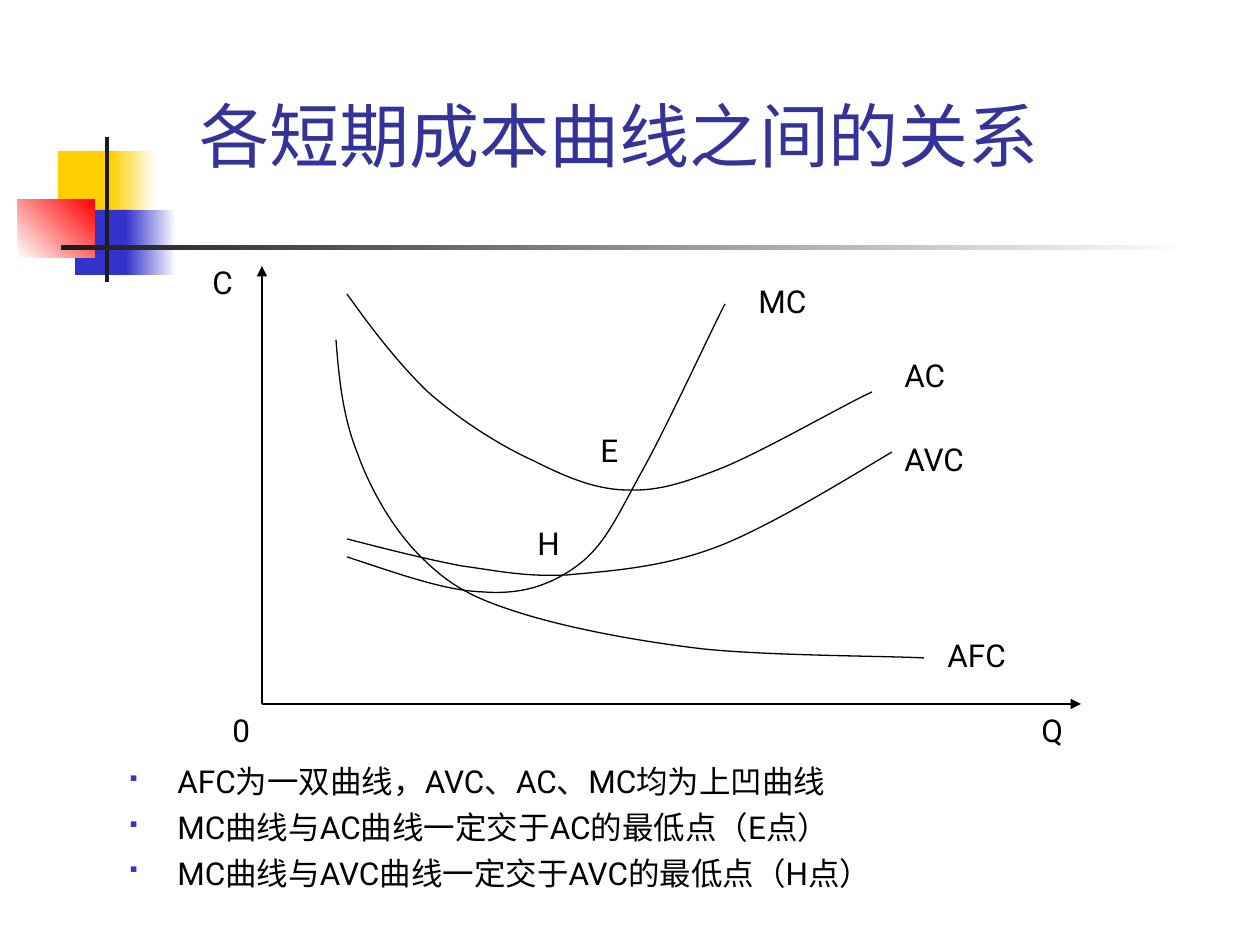
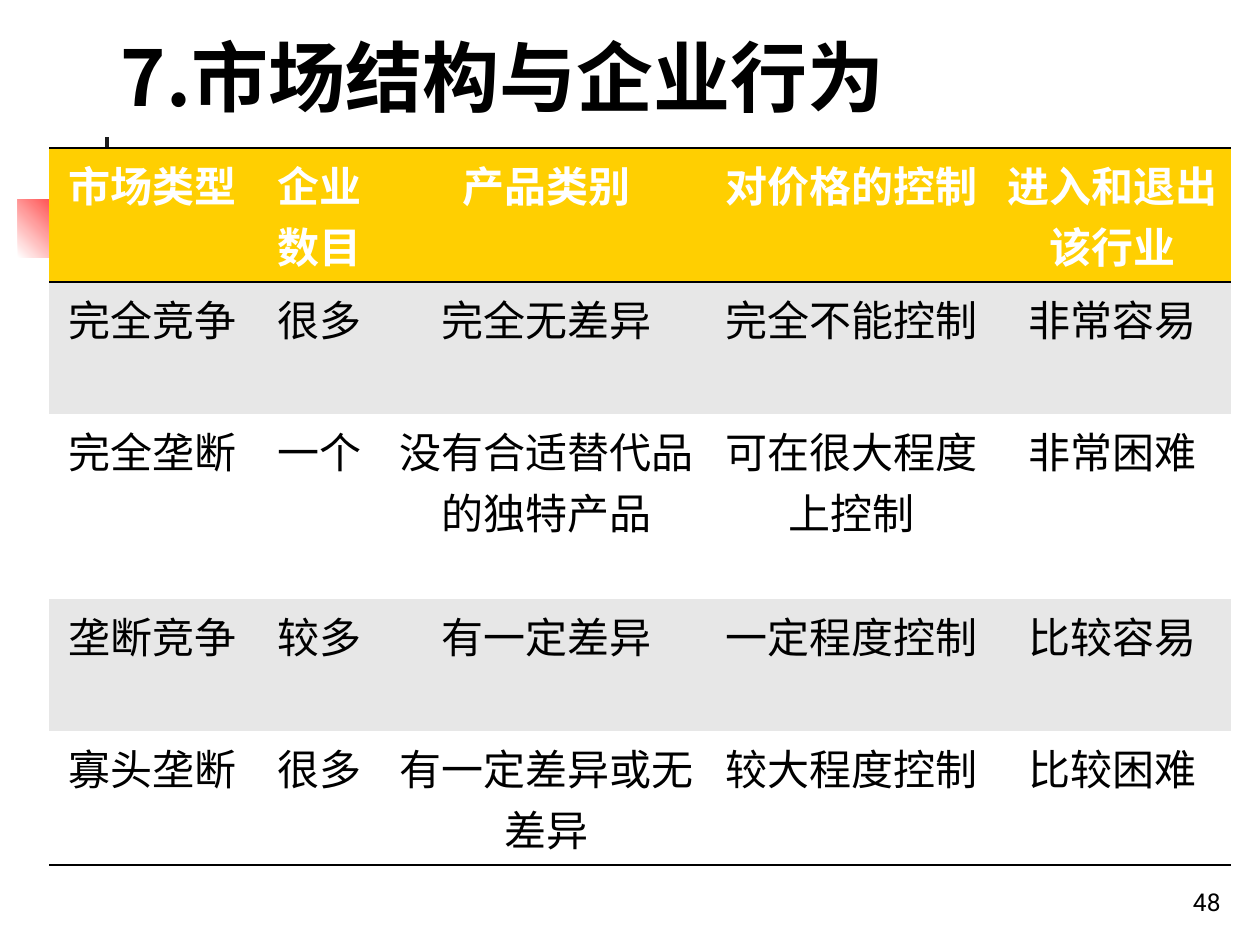
from lxml.etree import SubElement
from pptx import Presentation
from pptx.dml.color import RGBColor
from pptx.enum.shapes import MSO_CONNECTOR, MSO_SHAPE
from pptx.enum.text import MSO_ANCHOR as ANCHOR, PP_ALIGN as ALIGN
from pptx.oxml.ns import qn
from pptx.util import Pt

PX = 914400 / 126
SLIDE_SIZE = (1260, 945)
LATIN, CJK = "Roboto", "Noto Sans CJK SC"
NO_GRID_STYLE = "{2D5ABB26-0587-4C30-8999-92F81FD0307C}"

BLACK = RGBColor(0x00, 0x00, 0x00)
WHITE = RGBColor(0xFF, 0xFF, 0xFF)
YELLOW = RGBColor(0xFF, 0xCF, 0x01)
BLUE = RGBColor(0x33, 0x33, 0xCC)
RED = RGBColor(0xFF, 0x00, 0x00)
INK = RGBColor(0x1C, 0x1C, 0x1C)
TITLE_BLUE = RGBColor(0x33, 0x33, 0x99)
BAND_GREY = RGBColor(0xE7, 0xE7, 0xE7)

DECORATION = [
    ((58, 151, 60, 66), [YELLOW], 0),
    ((111, 151, 45, 66), [YELLOW, WHITE], 0),
    ((75, 210, 58, 65), [BLUE], 0),
    ((126, 210, 50, 65), [BLUE, WHITE], 0),
    ((18, 199, 77, 59), [WHITE, RED], 45),
    ((105, 137, 4, 145), [INK], 0),
    ((61, 245, 1134, 5), [INK, WHITE], 0),
]

COST_TITLE = "各短期成本曲线之间的关系"
COST_POINTS = [
    "AFC为一双曲线，AVC、AC、MC均为上凹曲线",
    "MC曲线与AC曲线一定交于AC的最低点（E点）",
    "MC曲线与AVC曲线一定交于AVC的最低点（H点）",
]
ORIGIN = (262, 704)
AXIS_ENDS = [(262, 266), (1081, 704)]
COST_CURVES = {
    "AFC": [(336, 340), (339, 379), (343, 417), (357, 452), (370, 489), (393, 529),
            (420, 556), (446, 582), (467, 596), (514, 611), (562, 627), (635, 641),
            (703, 649), (771, 656), (887, 656), (924, 658)],
    "MC": [(347, 557), (396, 573), (445, 591), (483, 592), (522, 595), (551, 585),
           (577, 566), (604, 546), (616, 519), (640, 475), (665, 431), (711, 331),
           (725, 304)],
    "AVC": [(347, 539), (386, 549), (425, 559), (462, 566), (499, 571), (525, 577),
            (567, 575), (609, 571), (660, 568), (714, 548), (769, 528), (863, 469),
            (892, 452)],
    "AC": [(347, 294), (372, 329), (398, 363), (428, 392), (460, 420), (499, 445),
           (532, 460), (564, 476), (593, 489), (625, 490), (655, 491), (675, 486),
           (717, 470), (759, 454), (845, 404), (872, 392)],
}
DIAGRAM_LABELS = [
    ("MC", 746, 276), ("AC", 892, 350), ("AVC", 892, 434), ("AFC", 935, 630),
    ("E", 588, 425), ("H", 525, 518), ("Q", 1029, 705), ("0", 220, 705), ("C", 200, 257),
]

MARKET_TITLE = "7.市场结构与企业行为"
MARKET_ROWS = [
    ("市场类型", "企业数目", "产品类别", "对价格的控制", "进入和退出该行业"),
    ("完全竞争", "很多", "完全无差异", "完全不能控制", "非常容易"),
    ("完全垄断", "一个", "没有合适替代品的独特产品", "可在很大程度上控制", "非常困难"),
    ("垄断竞争", "较多", "有一定差异", "一定程度控制", "比较容易"),
    ("寡头垄断", "很多", "有一定差异或无差异", "较大程度控制", "比较困难"),
]
COLUMN_WIDTHS = [207, 128, 325, 286, 236]
ROW_HEIGHTS = [134, 132, 185, 132, 134]
PAGE_NUMBER = "48"


def px(*lengths):
    return [round(length * PX) for length in lengths]


def format_paragraph(paragraph, size, color=BLACK, latin=LATIN, bold=False, align=ALIGN.LEFT):
    paragraph.alignment = align
    font = paragraph.font
    font.size, font.bold, font.name = Pt(size), bold, latin
    font.color.rgb = color
    SubElement(font._element, qn("a:ea"), typeface=CJK)


def add_text(shapes, box, lines, size, align=ALIGN.LEFT, anchor=ANCHOR.TOP, bulleted=False):
    frame = shapes.add_textbox(*px(*box)).text_frame
    frame.word_wrap = True
    frame.vertical_anchor = anchor
    frame.text = "\n".join(lines)
    for index, paragraph in enumerate(frame.paragraphs):
        if index:
            paragraph.space_before = Pt(4.5)
        if bulleted:
            add_bullet(paragraph)
        format_paragraph(paragraph, size, align=align)


def add_bullet(paragraph):
    properties = paragraph._p.get_or_add_pPr()
    indent = px(48)[0]
    properties.set("marL", str(indent))
    properties.set("indent", str(-indent))
    color = SubElement(properties, qn("a:buClr"))
    SubElement(color, qn("a:srgbClr"), val=str(BLUE))
    SubElement(properties, qn("a:buSzPct"), val="60000")
    SubElement(properties, qn("a:buFont"), typeface="Wingdings", charset="2")
    SubElement(properties, qn("a:buChar"), char="§")


def move_decoration_to_master(presentation, slide):
    master_tree = presentation.slide_master.shapes._spTree
    for index, (box, colors, angle) in enumerate(DECORATION):
        shape = slide.shapes.add_shape(MSO_SHAPE.RECTANGLE, *px(*box))
        shape.shadow.inherit = False
        shape.line.fill.background()
        if len(colors) == 1:
            shape.fill.solid()
            shape.fill.fore_color.rgb = colors[0]
        else:
            shape.fill.gradient()
            shape.fill.gradient_angle = angle
            for stop, color in zip(shape.fill.gradient_stops, colors):
                stop.color.rgb = color
        shape._element.nvSpPr.cNvPr.set("id", str(100 + index))
        master_tree.insert(2 + index, shape._element)


def add_slide(presentation, title_text, box, size, color, **style):
    slide = presentation.slides.add_slide(presentation.slide_layouts[5])
    title = slide.shapes.title
    title.left, title.top, title.width, title.height = px(*box)
    title.text_frame.text = title_text
    title.text_frame.vertical_anchor = ANCHOR.BOTTOM
    format_paragraph(title.text_frame.paragraphs[0], size, color, **style)
    return slide


def add_axis(shapes, end):
    axis = shapes.add_connector(MSO_CONNECTOR.STRAIGHT, *px(*ORIGIN, *end))
    axis.line.color.rgb = BLACK
    axis.line.width = Pt(0.75)
    SubElement(axis.line._get_or_add_ln(), qn("a:tailEnd"), type="triangle")
    SubElement(axis._element.spPr, qn("a:effectLst"))


def add_curve(shapes, controls):
    start, *rest = [px(*point) for point in controls]
    builder = shapes.build_freeform(*start)
    builder.add_line_segments(rest, close=False)
    curve = builder.convert_to_shape()
    curve.shadow.inherit = False
    curve.fill.background()
    curve.line.color.rgb = BLACK
    curve.line.width = Pt(0.75)
    outline = next(curve._element.iter(qn("a:path")))
    segments = outline.findall(qn("a:lnTo"))
    for first in range(0, len(segments), 3):
        bezier = SubElement(outline, qn("a:cubicBezTo"))
        for segment in segments[first:first + 3]:
            bezier.append(segment[0])
            outline.remove(segment)


def add_cost_slide(presentation):
    slide = add_slide(presentation, COST_TITLE, (187, 88, 1012, 95), 40, TITLE_BLUE)
    add_text(slide.shapes, (117, 756, 1113, 150), COST_POINTS, 18, bulleted=True)
    diagram = slide.shapes.add_group_shape().shapes
    for end in AXIS_ENDS:
        add_axis(diagram, end)
    for controls in COST_CURVES.values():
        add_curve(diagram, controls)
    for label, left, top in DIAGRAM_LABELS:
        width = 63 if len(label) == 1 else 116
        add_text(diagram, (left, top, width, 50), [label], 18)
    return slide


def add_border(cell, side, visible):
    line = SubElement(cell._tc.get_or_add_tcPr(), qn(f"a:{side}"), w=str(Pt(0.96)))
    if visible:
        fill = SubElement(line, qn("a:solidFill"))
        SubElement(fill, qn("a:srgbClr"), val=str(BLACK))
    else:
        SubElement(line, qn("a:noFill"))


def add_market_table(slide):
    frame = slide.shapes.add_table(len(MARKET_ROWS), len(COLUMN_WIDTHS),
                                   *px(49, 148, sum(COLUMN_WIDTHS), sum(ROW_HEIGHTS)))
    table = frame.table
    table.horz_banding = False
    table._tbl.tblPr.find(qn("a:tableStyleId")).text = NO_GRID_STYLE
    for column, width in zip(table.columns, px(*COLUMN_WIDTHS)):
        column.width = width
    for row, height in zip(table.rows, px(*ROW_HEIGHTS)):
        row.height = height
    last = len(MARKET_ROWS) - 1
    for row_index, texts in enumerate(MARKET_ROWS):
        header = row_index == 0
        fill = YELLOW if header else BAND_GREY if row_index % 2 else WHITE
        for column_index, text in enumerate(texts):
            cell = table.cell(row_index, column_index)
            add_border(cell, "lnT", row_index in (0, 1))
            add_border(cell, "lnB", row_index in (0, last))
            cell.fill.solid()
            cell.fill.fore_color.rgb = fill
            cell.text = text
            format_paragraph(cell.text_frame.paragraphs[0], 24, WHITE if header else BLACK,
                             latin=CJK, bold=header, align=ALIGN.CENTER)


def add_market_slide(presentation):
    slide = add_slide(presentation, MARKET_TITLE, (108, 21, 1074, 107), 44, BLACK,
                      latin=CJK, bold=True)
    add_text(slide.shapes, (971, 860, 262, 63), [PAGE_NUMBER], 14, ALIGN.RIGHT, ANCHOR.BOTTOM)
    add_market_table(slide)


def main():
    presentation = Presentation()
    presentation.slide_width, presentation.slide_height = px(*SLIDE_SIZE)
    cost_slide = add_cost_slide(presentation)
    move_decoration_to_master(presentation, cost_slide)
    add_market_slide(presentation)
    presentation.save("out.pptx")


if __name__ == "__main__":
    main()
